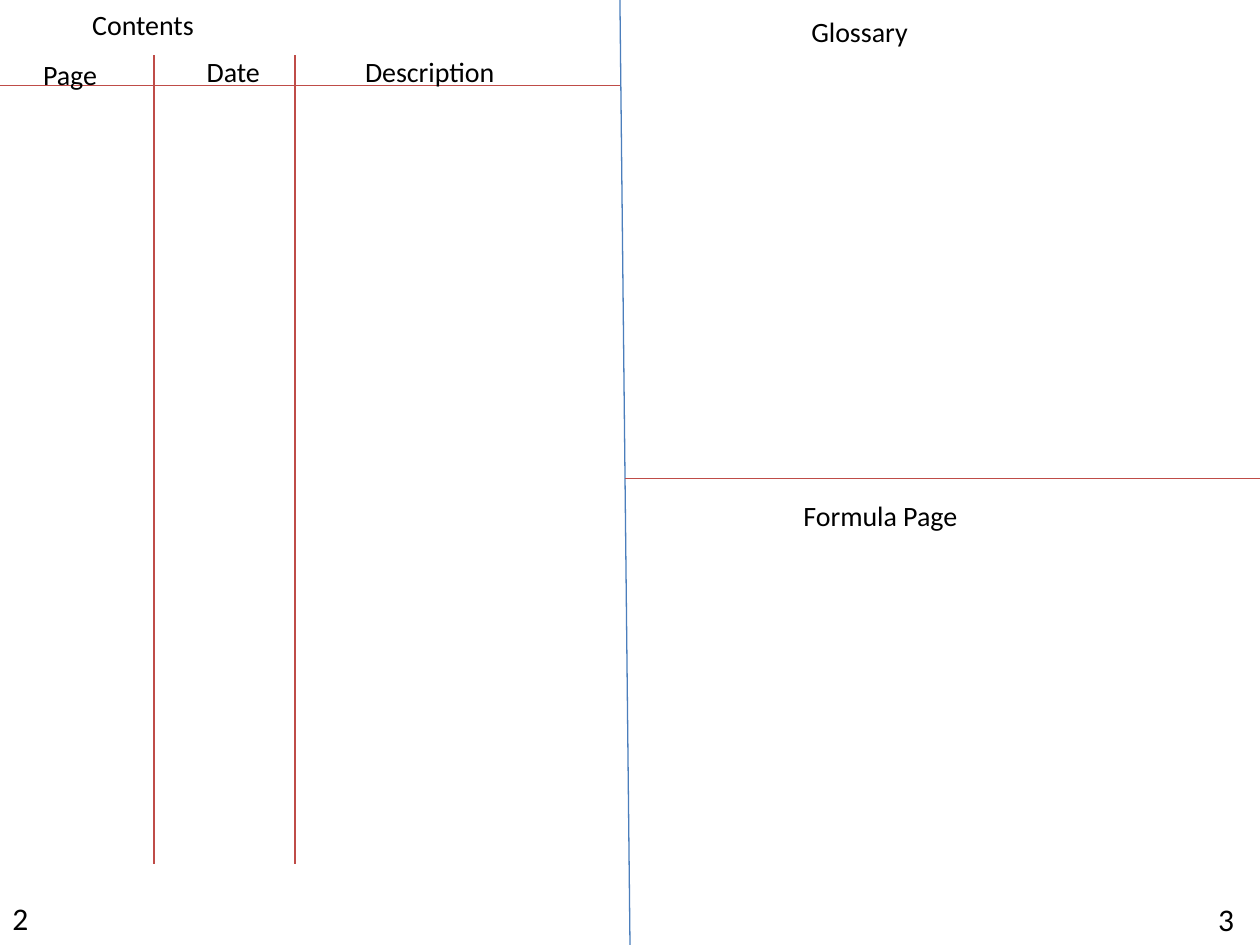
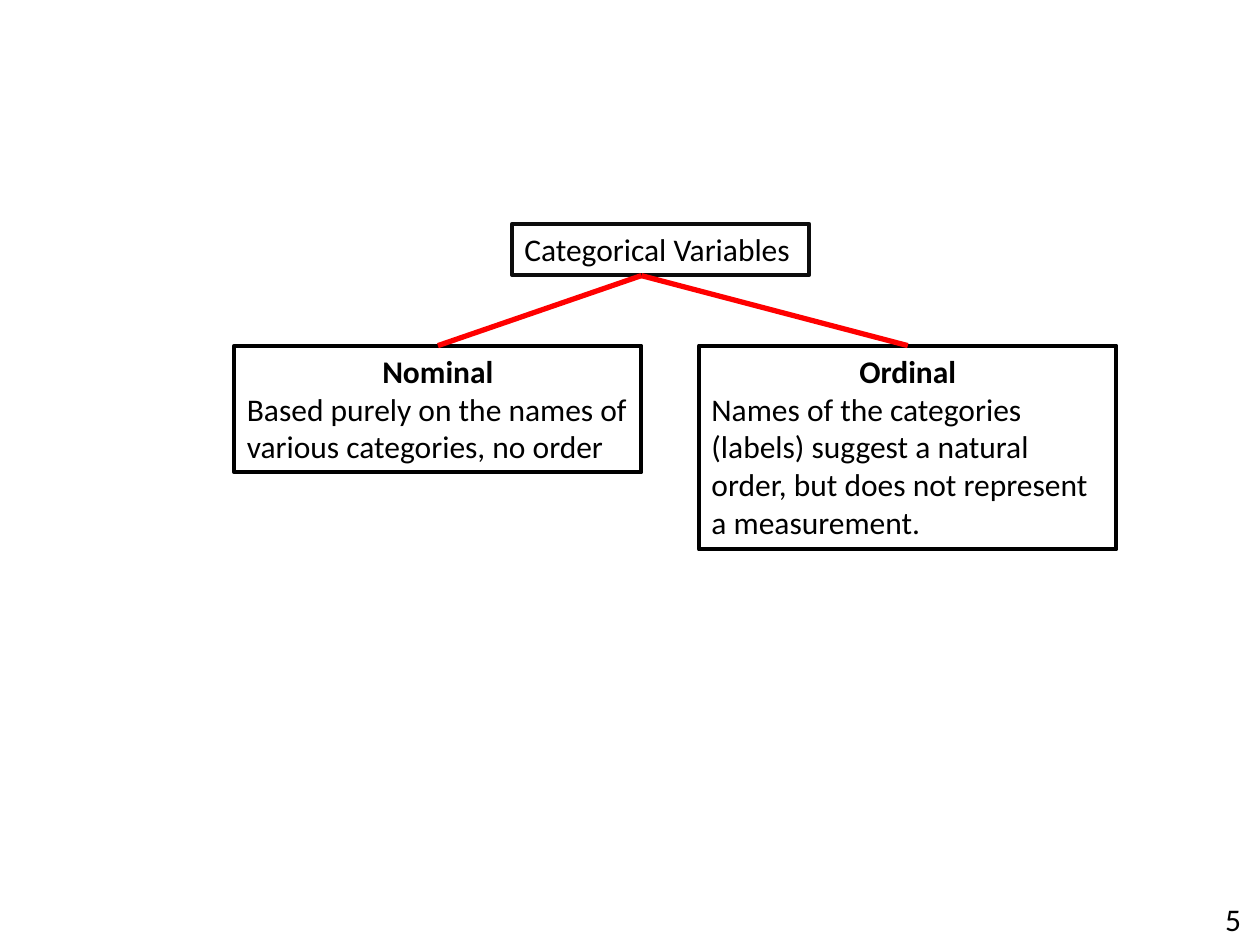
"""Build two notebook slides: a contents and glossary spread, and a variable-type tree."""
from lxml import etree
from pptx import Presentation
from pptx import util as u
from pptx.dml.color import RGBColor
from pptx.enum import shapes, text
from pptx.oxml.ns import qn

THEME = {
    "font": "Calibri",
    "heading": 16,
    "body": 18,
    "ink": RGBColor(0, 0, 0),
    "root_edge": RGBColor(0x0D, 0x0D, 0x0D),
    "spine": RGBColor(0x4B, 0x7E, 0xBC),
    "rule": RGBColor(0xBF, 0x4C, 0x48),
    "branch": RGBColor(0xFF, 0, 0),
    "thin": 0.75,
    "edge": 2.25,
    "thick": 3,
}


def write(holder, place, paragraphs, size, wrap=True):
    """Place a text holder and fill it with (words, bold, alignment) paragraphs."""
    for side, length in zip(("left", "top", "width", "height"), place):
        setattr(holder, side, u.Pt(length))
    frame = holder.text_frame
    layout = {"word_wrap": wrap, "vertical_anchor": text.MSO_ANCHOR.TOP,
              "auto_size": text.MSO_AUTO_SIZE.SHAPE_TO_FIT_TEXT}
    for name, value in layout.items():
        setattr(frame, name, value)
    for number, (words, bold, align) in enumerate(paragraphs):
        paragraph = frame.add_paragraph() if number else frame.paragraphs[0]
        paragraph.alignment = align
        run = paragraph.add_run()
        run.text = words
        letters = {"name": THEME["font"], "size": u.Pt(size), "bold": bold}
        for name, value in letters.items():
            setattr(run.font, name, value)
        run.font.color.rgb = THEME["ink"]


def draw_line(slide, start, end, color, width):
    """Draw a straight, shadowless line between two points."""
    line = slide.shapes.add_connector(
        shapes.MSO_CONNECTOR.STRAIGHT, *(u.Pt(value) for value in (*start, *end)))
    line.line.color.rgb = THEME[color]
    line.line.width = u.Pt(THEME[width])
    etree.SubElement(line._element.spPr, qn("a:effectLst"))


LEFT, CENTER = text.PP_ALIGN.LEFT, text.PP_ALIGN.CENTER
WIDTH, HEIGHT = 720, 540

deck = Presentation()
deck.slide_width, deck.slide_height = u.Pt(WIDTH), u.Pt(HEIGHT)
spread = deck.slides.add_slide(deck.slide_layouts[5])
tree = deck.slides.add_slide(deck.slide_layouts[6])

draw_line(spread, (354.25, 0), (360, HEIGHT), "spine", "thin")
contents_rules = [((0, 49), (354.25, 49))]
contents_rules += [((x, 31.5), (x, 494)) for x in (88, 168.5)]
formula_rule = ((357, 273.5), (WIDTH, 273.5))
for start, end in contents_rules + [formula_rule]:
    draw_line(spread, start, end, "rule", "thin")

write(spread.shapes.title, (45.5, 0.5, 73.5, 26.5),
      [("Contents", False, LEFT)], THEME["heading"], False)

headings = [
    ("Page", 17.5, 29.5, 46, False),
    ("Date", 111, 27.5, 45.5, False),
    ("Description", 201.5, 27.5, 110, True),
    ("Glossary", 456.5, 5, 204, True),
    ("Formula Page", 452, 281.5, 204, True),
]
for words, left, top, width, wrap in headings:
    heading = spread.shapes.add_textbox(0, 0, 0, 0)
    write(heading, (left, top, width, 26.5),
          [(words, False, LEFT)], THEME["heading"], wrap)

page_numbers = [(spread, "2", 0, 510, 24), (spread, "3", 689, 511, 31),
                (tree, "5", 693, 511, 27)]
for slide, number, left, top, width in page_numbers:
    page_number = slide.shapes.add_textbox(0, 0, 0, 0)
    write(page_number, (left, top, width, 29),
          [(number, False, LEFT)], THEME["body"])

kinds_top = 197.5
nodes = [
    ((292.5, 128, 170, 29), "root_edge", [("Categorical Variables", False, LEFT)]),
    ((134, kinds_top, 232.5, 72.5), "ink", [
        ("Nominal", True, CENTER),
        ("Based purely on the names of various categories, no order", False, LEFT)]),
    ((399.5, kinds_top, 238.5, 116.5), "ink", [
        ("Ordinal", True, CENTER),
        ("Names of the categories (labels) suggest a natural order, "
         "but does not represent a measurement.", False, LEFT)]),
]
for place, edge, paragraphs in nodes:
    node = tree.shapes.add_shape(shapes.MSO_SHAPE.RECTANGLE, 0, 0, 0, 0)
    node.shadow.inherit = False
    node.fill.background()
    node.line.color.rgb = THEME[edge]
    node.line.width = u.Pt(THEME["edge"])
    write(node, place, paragraphs, THEME["body"])

for (left, top, width, height), edge, paragraphs in nodes[1:]:
    draw_line(tree, (366.5, 157.5), (left + width / 2, top), "branch", "thick")

deck.save("out.pptx")
